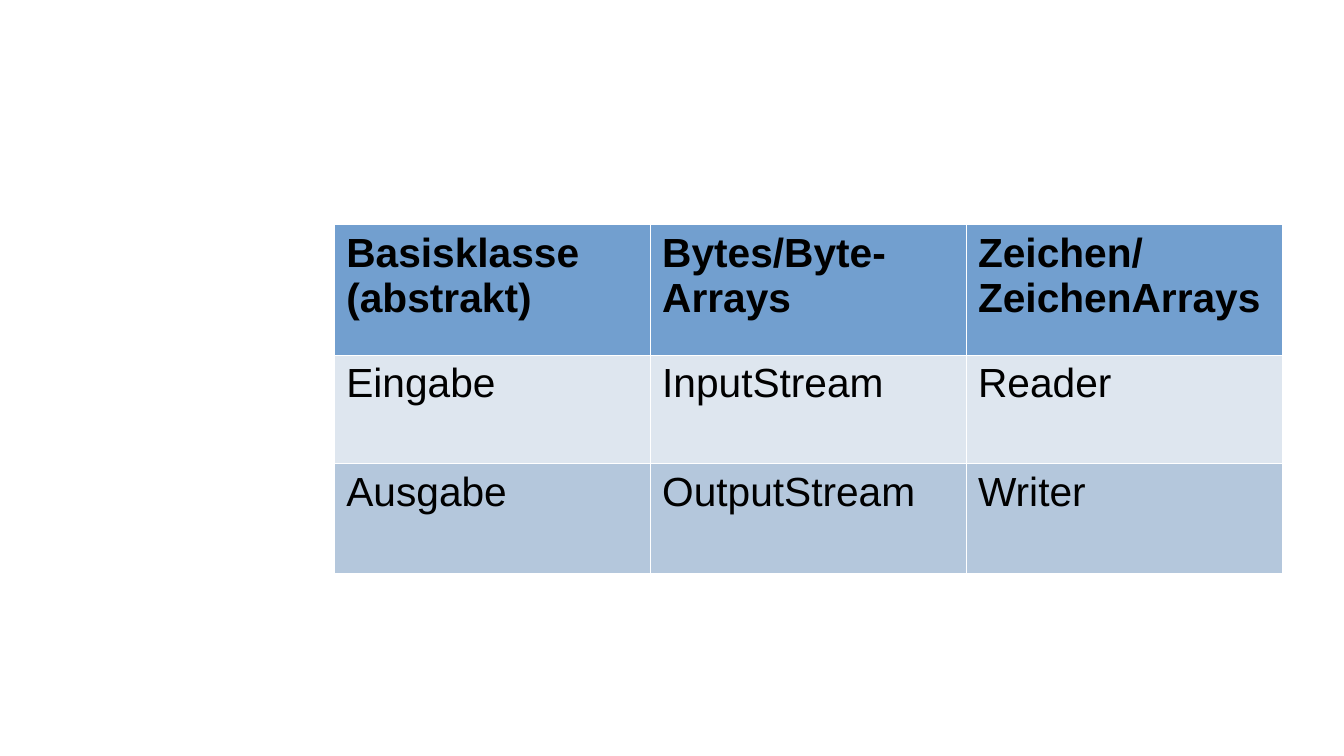
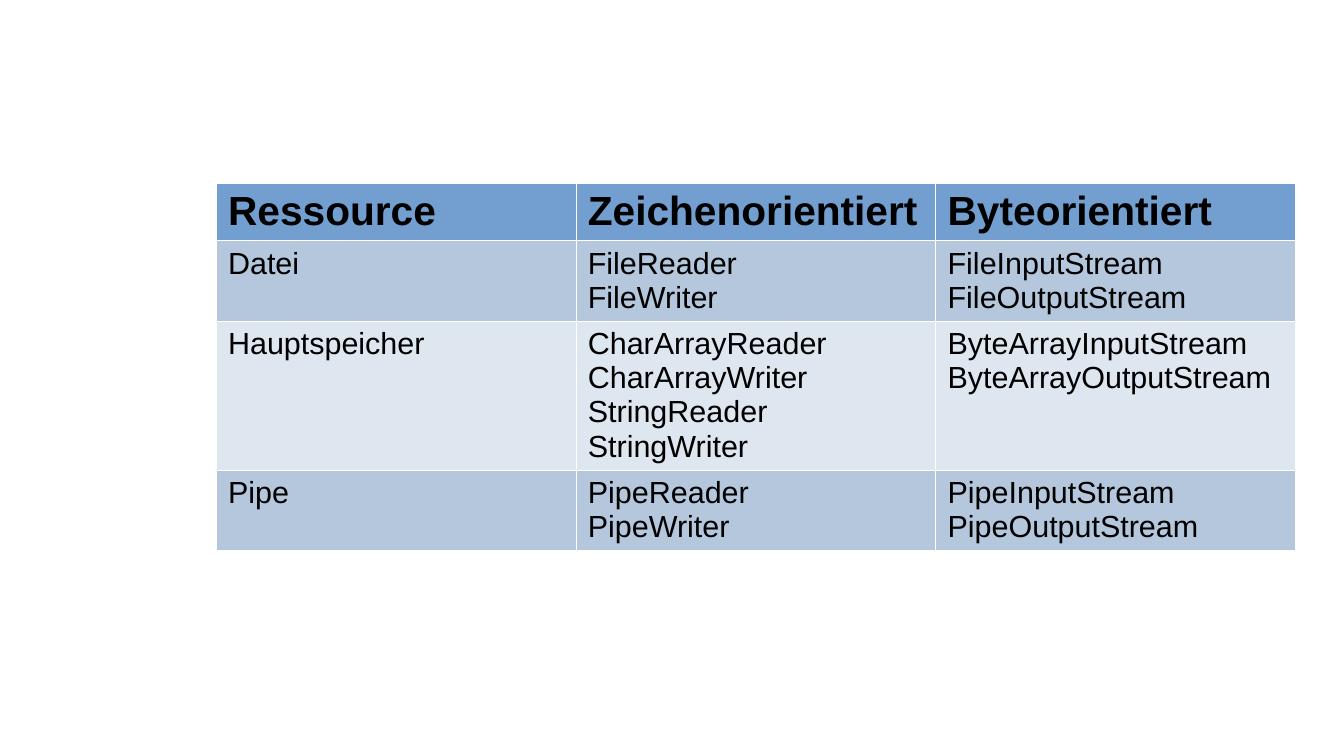
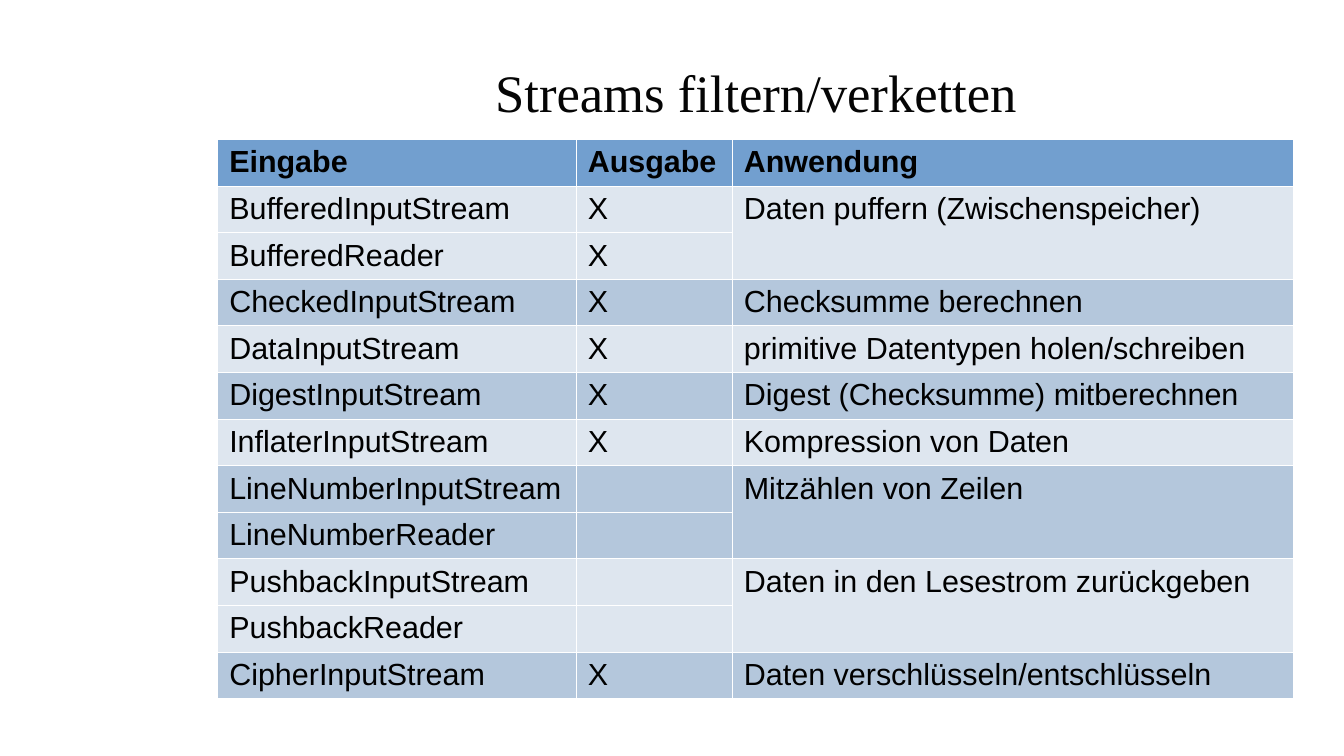
import pptx
import pptx.dml.color
import pptx.enum.text
import pptx.oxml
import pptx.oxml.ns
import pptx.util

Inches, Pt = pptx.util.Inches, pptx.util.Pt

# Shared look
HEADER, LIGHT, DARK = "729FCF", "DEE6EF", "B4C7DC"
BLACK, TITLE_COLOUR, RULE = "000000", "050505", "FFFFFF"
TABLE_FONT, TITLE_FONT = "Arial", "Times New Roman"
TITLE_ONLY, BLANK = 5, 6

# Content: first row is the header, None continues the cell above,
# a line break starts a new paragraph
SLIDES = [
    {
        "at": (2.74, 1.84), "columns": [2.59] * 3, "heights": [1.07, 0.89, 0.9],
        "sizes": (24, 24), "bands": (LIGHT, DARK),
        "rows": [
            ("Basisklasse\n(abstrakt)", "Bytes/Byte-Arrays", "Zeichen/ZeichenArrays"),
            ("Eingabe", "InputStream", "Reader"),
            ("Ausgabe", "OutputStream", "Writer"),
        ],
    },
    {
        "at": (1.77, 1.5), "columns": [2.95] * 3, "heights": [0.47, 0.66, 1.22, 0.66],
        "sizes": (24, 18), "bands": (DARK, LIGHT),
        "rows": [
            ("Ressource", "Zeichenorientiert", "Byteorientiert"),
            ("Datei", "FileReader\nFileWriter", "FileInputStream\nFileOutputStream"),
            ("Hauptspeicher",
             "CharArrayReader\nCharArrayWriter\nStringReader\nStringWriter",
             "ByteArrayInputStream\nByteArrayOutputStream"),
            ("Pipe", "PipeReader\nPipeWriter", "PipeInputStream\nPipeOutputStream"),
        ],
    },
    {
        "title": "Streams filtern/verketten",
        "at": (1.78, 1.14), "columns": [2.94, 1.28, 4.6], "heights": [4.59 / 12] * 12,
        "sizes": (18, 18), "bands": (LIGHT, DARK),
        "rows": [
            ("Eingabe", "Ausgabe", "Anwendung"),
            ("BufferedInputStream", "X", "Daten puffern (Zwischenspeicher)"),
            ("BufferedReader", "X", None),
            ("CheckedInputStream", "X", "Checksumme berechnen"),
            ("DataInputStream", "X", "primitive Datentypen holen/schreiben"),
            ("DigestInputStream", "X", "Digest (Checksumme) mitberechnen"),
            ("InflaterInputStream", "X", "Kompression von Daten"),
            ("LineNumberInputStream", "", "Mitzählen von Zeilen"),
            ("LineNumberReader", "", None),
            ("PushbackInputStream", "", "Daten in den Lesestrom zurückgeben"),
            ("PushbackReader", "", None),
            ("CipherInputStream", "X", "Daten verschlüsseln/entschlüsseln"),
        ],
    },
]


def colour(value):
    return pptx.dml.color.RGBColor.from_string(value)


def set_font(paragraph, name, size, value, bold=False):
    font = paragraph.font
    font.name, font.size, font.bold = name, Pt(size), bold
    font.color.rgb = colour(value)


def add_title(slide, text):
    title = slide.shapes.title
    title.left, title.top = Inches(1.77), Inches(0.24)
    title.width, title.height = Inches(8.86), Inches(1.02)
    frame = title.text_frame
    frame.text = text
    frame.word_wrap = True
    frame.auto_size = pptx.enum.text.MSO_AUTO_SIZE.NONE
    frame.vertical_anchor = pptx.enum.text.MSO_ANCHOR.MIDDLE
    frame.margin_left = frame.margin_right = frame.margin_top = frame.margin_bottom = 0
    frame.paragraphs[0].alignment = pptx.enum.text.PP_ALIGN.CENTER
    set_font(frame.paragraphs[0], TITLE_FONT, 31.1, TITLE_COLOUR)


def format_cell(cell, text, fill, size, bold):
    # Hairline borders stand before the fill in the cell properties
    properties = cell._tc.get_or_add_tcPr()
    for side in "LRTB":
        properties.append(pptx.oxml.parse_xml(
            f'<a:ln{side} {pptx.oxml.ns.nsdecls("a")} w="{Pt(0.06)}"><a:solidFill>'
            f'<a:srgbClr val="{RULE}"/></a:solidFill></a:ln{side}>'))
    cell.fill.solid()
    cell.fill.fore_color.rgb = colour(fill)
    cell.margin_left = cell.margin_right = Inches(0.1)
    cell.margin_top = cell.margin_bottom = Inches(0.05)
    cell.text_frame.text = text or ""
    for paragraph in cell.text_frame.paragraphs:
        set_font(paragraph, TABLE_FONT, size, BLACK, bold)


def add_table(slide, content):
    rows, columns, heights = content["rows"], content["columns"], content["heights"]
    left, top = content["at"]
    table = slide.shapes.add_table(
        len(rows), len(columns), Inches(left), Inches(top),
        Inches(sum(columns)), Inches(sum(heights))).table
    table.first_row = table.horz_banding = False
    for column, width in zip(table.columns, columns):
        column.width = Inches(width)

    header_size, body_size = content["sizes"]
    band = -1
    for row_index, texts in enumerate(rows):
        table.rows[row_index].height = Inches(heights[row_index])
        is_header = row_index == 0
        # A continued row keeps the band of the row above
        if not is_header and None not in texts:
            band += 1
        fill = HEADER if is_header else content["bands"][band % 2]
        for column_index, text in enumerate(texts):
            cell = table.cell(row_index, column_index)
            format_cell(cell, text, fill, header_size if is_header else body_size, is_header)
            if text is None:
                table.cell(row_index - 1, column_index).merge(cell)


def main():
    presentation = pptx.Presentation()
    presentation.slide_width, presentation.slide_height = Inches(11.02), Inches(6.2)
    for content in SLIDES:
        layout = TITLE_ONLY if "title" in content else BLANK
        slide = presentation.slides.add_slide(presentation.slide_layouts[layout])
        if "title" in content:
            add_title(slide, content["title"])
        add_table(slide, content)
    presentation.save("out.pptx")


if __name__ == "__main__":
    main()
